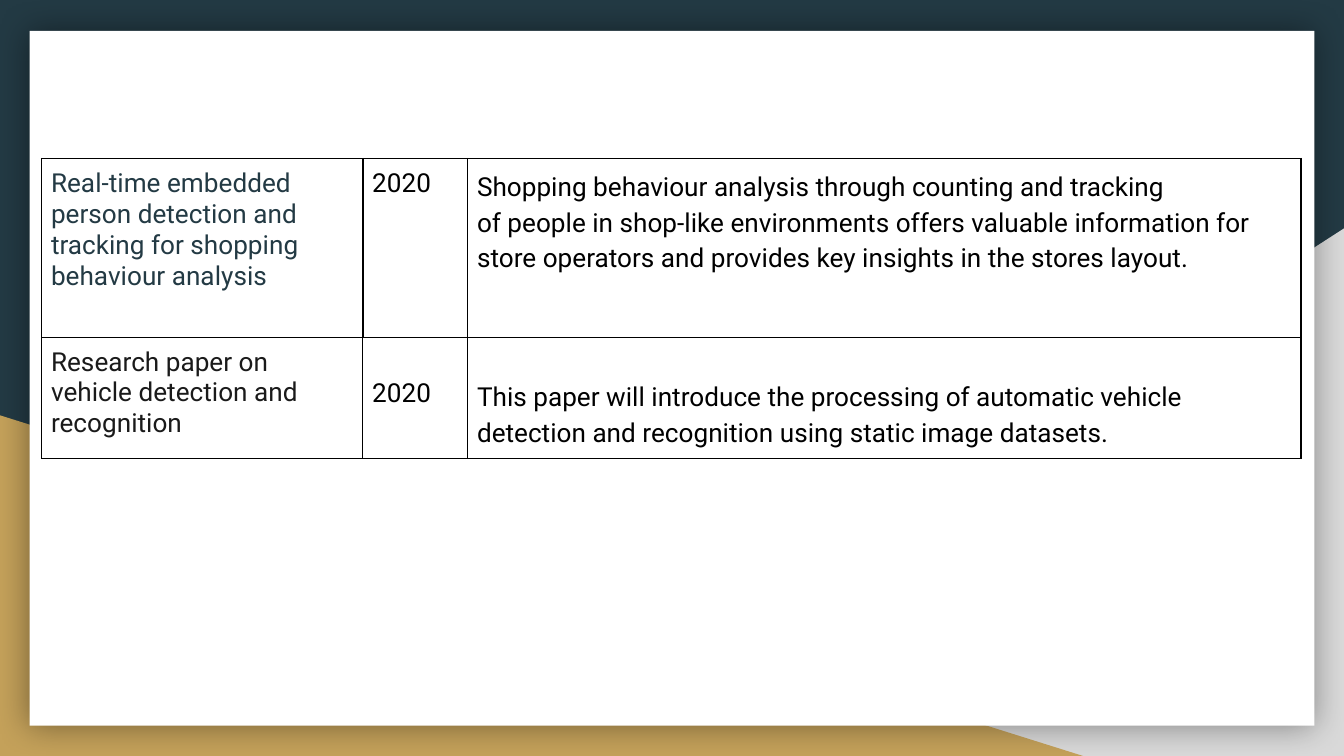
from dataclasses import dataclass

from pptx import Presentation
from pptx.dml.color import RGBColor
from pptx.enum.shapes import MSO_SHAPE
from pptx.oxml import parse_xml
from pptx.oxml.ns import nsdecls
from pptx.util import Inches, Pt

RECTANGLE = MSO_SHAPE.RECTANGLE
RIGHT_TRIANGLE = MSO_SHAPE.RIGHT_TRIANGLE


@dataclass(frozen=True)
class Theme:
    font: str = "Roboto"
    size: int = 14
    navy: str = "233A44"
    grey: str = "D9D9D9"
    gold: str = "C4A15A"
    white: str = "FFFFFF"
    black: str = "000000"
    charcoal: str = "1A1A1A"


THEME = Theme()
WIDTH = 10
HEIGHT = WIDTH * 9 / 16
TABLE_LEFT, TABLE_TOP = 0.31, 1.18
COLUMN_WIDTHS = (2.39, 0.78, 6.2)
ROW_HEIGHTS = (1.33, 0.9)
LINE_SPACINGS = (1, 1, 1.15)
PADDING, LOWERED = 0.07, 0.3

PAPERS = [
    {
        "title": "Real-time embedded person detection and tracking for shopping behaviour analysis",
        "year": "2020",
        "summary": [
            "Shopping behaviour analysis through counting and tracking",
            "of people in shop-like environments offers valuable information for",
            "store operators and provides key insights in the stores layout.",
        ],
        "title_color": THEME.navy,
        "detail_top": PADDING,
        "borders": {"lnL": 1, "lnR": 1, "lnT": 1, "lnB": 0.75},
    },
    {
        "title": "Research paper on vehicle detection and recognition",
        "year": "2020",
        "summary": [
            "This paper will introduce the processing of automatic vehicle "
            "detection and recognition using static image datasets.",
        ],
        "title_color": THEME.charcoal,
        "detail_top": LOWERED,
        "borders": {"lnL": 0.75, "lnR": 0.75, "lnT": 0.75, "lnB": 0.75},
    },
]


def rgb(color):
    return RGBColor.from_string(color)


def add_panel(slide, kind, left, top, width, height, color):
    shape = slide.shapes.add_shape(
        kind, Inches(left), Inches(top), Inches(width), Inches(height))
    shape.shadow.inherit = False
    shape.fill.solid()
    shape.fill.fore_color.rgb = rgb(color)
    shape.line.fill.background()
    return shape


def add_glow_shadow(shape):
    shape.shadow.inherit = True
    shape._element.spPr.append(parse_xml(
        f'<a:effectLst {nsdecls("a")}><a:outerShdw blurRad="{Pt(18)}" dist="0" dir="0" '
        f'algn="ctr" rotWithShape="0"><a:srgbClr val="{THEME.black}">'
        '<a:alpha val="40000"/></a:srgbClr></a:outerShdw></a:effectLst>'))


def set_borders(cell, borders):
    properties = cell._tc.get_or_add_tcPr()
    for index, (side, points) in enumerate(borders.items()):
        properties.insert(index, parse_xml(
            f'<a:{side} {nsdecls("a")} w="{Pt(points)}"><a:solidFill>'
            f'<a:srgbClr val="{THEME.black}"/></a:solidFill></a:{side}>'))


def fill_cell(cell, lines, color, spacing, top, borders):
    cell.margin_left = cell.margin_right = cell.margin_bottom = Inches(PADDING)
    cell.margin_top = Inches(top)
    cell.fill.background()
    set_borders(cell, borders)
    frame = cell.text_frame
    for index, line in enumerate(lines):
        paragraph = frame.add_paragraph() if index else frame.paragraphs[0]
        paragraph.line_spacing = float(spacing)
        run = paragraph.add_run()
        run.text = line
        run.font.name = THEME.font
        run.font.size = Pt(THEME.size)
        run.font.bold = False
        run.font.color.rgb = rgb(color)


def add_backdrop(slide):
    slide.background.fill.solid()
    slide.background.fill.fore_color.rgb = rgb(THEME.navy)
    corner = add_panel(slide, RIGHT_TRIANGLE, 3.92, 1.7, 6.08, HEIGHT - 1.7, THEME.grey)
    corner._element.spPr.xfrm.set("flipH", "1")
    add_panel(slide, RIGHT_TRIANGLE, 0, 3.09, 8.06, HEIGHT - 3.09, THEME.gold)
    card = add_panel(slide, RECTANGLE, 0.22, 0.23, WIDTH - 0.44, 5.17, THEME.white)
    add_glow_shadow(card)


def add_paper_table(slide):
    table = slide.shapes.add_table(
        len(PAPERS), len(COLUMN_WIDTHS), Inches(TABLE_LEFT), Inches(TABLE_TOP),
        Inches(sum(COLUMN_WIDTHS)), Inches(sum(ROW_HEIGHTS))).table
    table.first_row = table.horz_banding = False
    for column, width in zip(table.columns, COLUMN_WIDTHS):
        column.width = Inches(width)
    for row, height, paper in zip(table.rows, ROW_HEIGHTS, PAPERS):
        row.height = Inches(height)
        contents = (
            ([paper["title"]], paper["title_color"], PADDING),
            ([paper["year"]], THEME.black, paper["detail_top"]),
            (paper["summary"], THEME.black, paper["detail_top"]),
        )
        for cell, (lines, color, top), spacing in zip(row.cells, contents, LINE_SPACINGS):
            fill_cell(cell, lines, color, spacing, top, paper["borders"])


def main():
    presentation = Presentation()
    presentation.slide_width = Inches(WIDTH)
    presentation.slide_height = Inches(HEIGHT)
    slide = presentation.slides.add_slide(presentation.slide_layouts[6])
    add_backdrop(slide)
    add_paper_table(slide)
    presentation.save("out.pptx")


if __name__ == "__main__":
    main()
